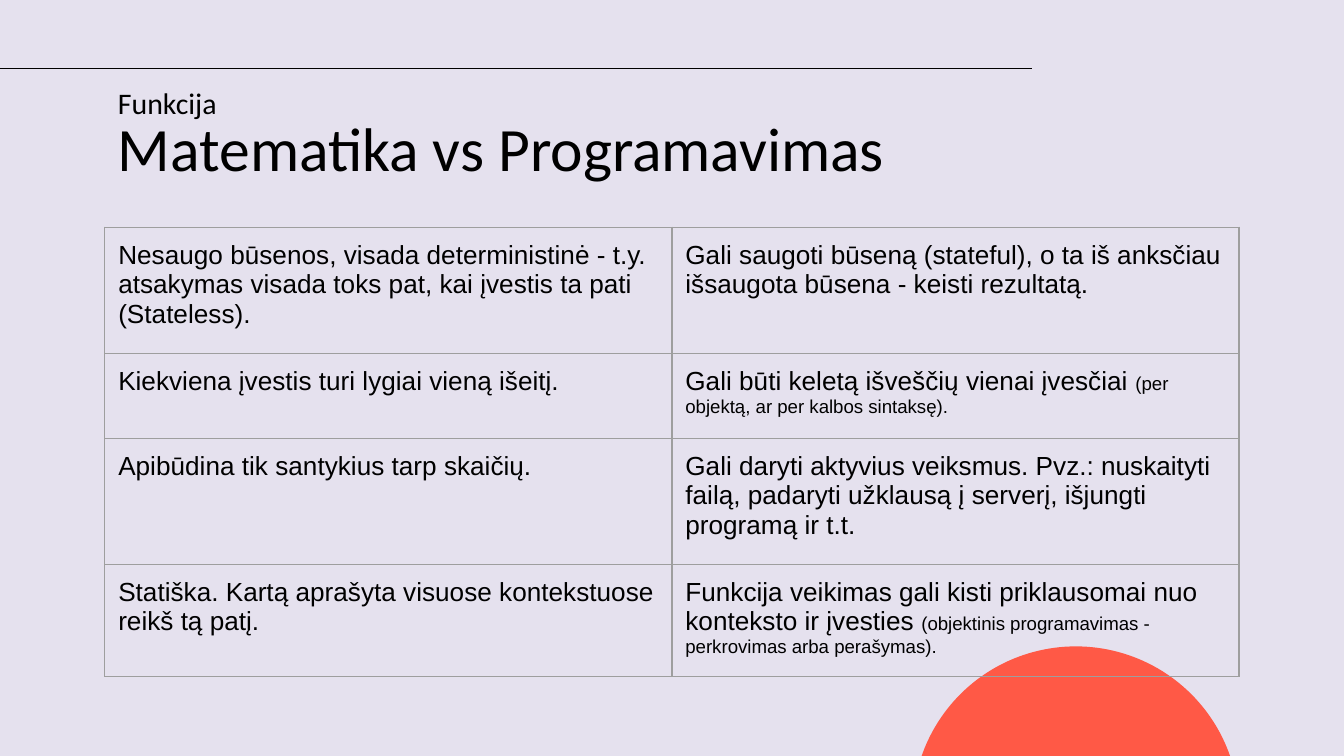
from dataclasses import dataclass

from lxml import etree
from pptx import Presentation
from pptx.dml.color import RGBColor
from pptx.enum.shapes import MSO_CONNECTOR, MSO_SHAPE
from pptx.enum.text import MSO_ANCHOR
from pptx.oxml.ns import qn
from pptx.util import Inches, Pt

STRAIGHT = MSO_CONNECTOR.STRAIGHT
OVAL = MSO_SHAPE.OVAL
TOP = MSO_ANCHOR.TOP


@dataclass(frozen=True)
class Theme:
    background: str = "E5E1EE"
    accent: str = "FF5946"
    ink: str = "000000"
    grid: str = "9E9E9E"
    heading_font: str = "Calibri"
    body_font: str = "Arial"
    title_size: float = 33
    label_size: float = 16
    body_size: float = 14
    note_size: float = 10
    line_width: float = 0.75
    inset: float = 0.1


SLIDE_WIDTH = 10
SLIDE_HEIGHT = SLIDE_WIDTH * 9 / 16
LEFT = 0.78
CONTENT_WIDTH = 8.44
ROW_HEIGHTS = [0.94, 0.63, 0.94, 0.45]
COMPARISON = [
    [
        ["Nesaugo būsenos, visada deterministinė - t.y. atsakymas visada toks pat, "
         "kai įvestis ta pati (Stateless)."],
        ["Gali saugoti būseną (stateful), o ta iš anksčiau išsaugota būsena - "
         "keisti rezultatą."],
    ],
    [
        ["Kiekviena įvestis turi lygiai vieną išeitį."],
        ["Gali būti keletą išveščių vienai įvesčiai ",
         "(per objektą, ar per kalbos sintaksę)."],
    ],
    [
        ["Apibūdina tik santykius tarp skaičių."],
        ["Gali daryti aktyvius veiksmus. Pvz.: nuskaityti failą, padaryti užklausą "
         "į serverį, išjungti programą ir t.t."],
    ],
    [
        ["Statiška. Kartą aprašyta visuose kontekstuose reikš tą patį."],
        ["Funkcija veikimas gali kisti priklausomai nuo konteksto ir įvesties ",
         "(objektinis programavimas - perkrovimas arba perašymas)."],
    ],
]


class SlideBuilder:
    def __init__(self, slide, theme):
        self.slide = slide
        self.theme = theme
        fill = slide.background.fill
        fill.solid()
        fill.fore_color.rgb = RGBColor.from_string(theme.background)

    def circle(self, left, top, diameter):
        shape = self.slide.shapes.add_shape(
            OVAL, Inches(left), Inches(top), Inches(diameter), Inches(diameter))
        shape.shadow.inherit = False
        shape.fill.solid()
        shape.fill.fore_color.rgb = RGBColor.from_string(self.theme.accent)
        shape.line.fill.background()

    def rule(self, left, right, top):
        connector = self.slide.shapes.add_connector(
            STRAIGHT, Inches(left), Inches(top), Inches(right), Inches(top))
        connector.line.color.rgb = RGBColor.from_string(self.theme.ink)
        connector.line.width = Pt(self.theme.line_width)
        etree.SubElement(connector.element.spPr, qn("a:effectLst"))

    def set_insets(self, holder):
        inset = Inches(self.theme.inset)
        holder.margin_left = holder.margin_right = inset
        holder.margin_top = holder.margin_bottom = inset
        holder.vertical_anchor = TOP

    def style_font(self, font, name, size):
        font.name = name
        font.size = Pt(size)
        font.color.rgb = RGBColor.from_string(self.theme.ink)

    def heading(self, text, top, height, size):
        shape = self.slide.shapes.add_textbox(
            Inches(LEFT), Inches(top), Inches(CONTENT_WIDTH), Inches(height))
        frame = shape.text_frame
        frame.word_wrap = True
        self.set_insets(frame)
        paragraph = frame.paragraphs[0]
        paragraph.text = text
        self.style_font(paragraph.font, self.theme.heading_font, size)

    def table(self, rows, top, row_heights):
        column_count = len(rows[0])
        table = self.slide.shapes.add_table(
            len(rows), column_count, Inches(LEFT), Inches(top),
            Inches(CONTENT_WIDTH), Inches(sum(row_heights))).table
        table.first_row = table.horz_banding = False
        for column in table.columns:
            column.width = Inches(CONTENT_WIDTH / column_count)
        for row, height, texts in zip(table.rows, row_heights, rows):
            row.height = Inches(height)
            for cell, parts in zip(row.cells, texts):
                self.fill_cell(cell, parts)

    def fill_cell(self, cell, parts):
        self.set_insets(cell)
        cell.fill.background()
        self.add_borders(cell)
        paragraph = cell.text_frame.paragraphs[0]
        sizes = (self.theme.body_size, self.theme.note_size)
        for text, size in zip(parts, sizes):
            run = paragraph.add_run()
            run.text = text
            self.style_font(run.font, self.theme.body_font, size)

    def add_borders(self, cell):
        properties = cell._tc.get_or_add_tcPr()
        for position, side in enumerate(("a:lnL", "a:lnR", "a:lnT", "a:lnB")):
            border = etree.Element(qn(side), w=str(Pt(self.theme.line_width)))
            fill = etree.SubElement(border, qn("a:solidFill"))
            etree.SubElement(fill, qn("a:srgbClr"), val=self.theme.grid)
            properties.insert(position, border)


def main():
    presentation = Presentation()
    presentation.slide_width = Inches(SLIDE_WIDTH)
    presentation.slide_height = Inches(SLIDE_HEIGHT)
    theme = Theme()
    slide = presentation.slides.add_slide(presentation.slide_layouts[6])
    builder = SlideBuilder(slide, theme)
    builder.circle(6.79, 4.81, 2.43)
    builder.rule(0, 7.68, 0.51)
    builder.heading("Matematika vs Programavimas", 0.72, 0.63, theme.title_size)
    builder.table(COMPARISON, 1.69, ROW_HEIGHTS)
    builder.heading("Funkcija", 0.53, 0.37, theme.label_size)
    presentation.save("out.pptx")


if __name__ == "__main__":
    main()
